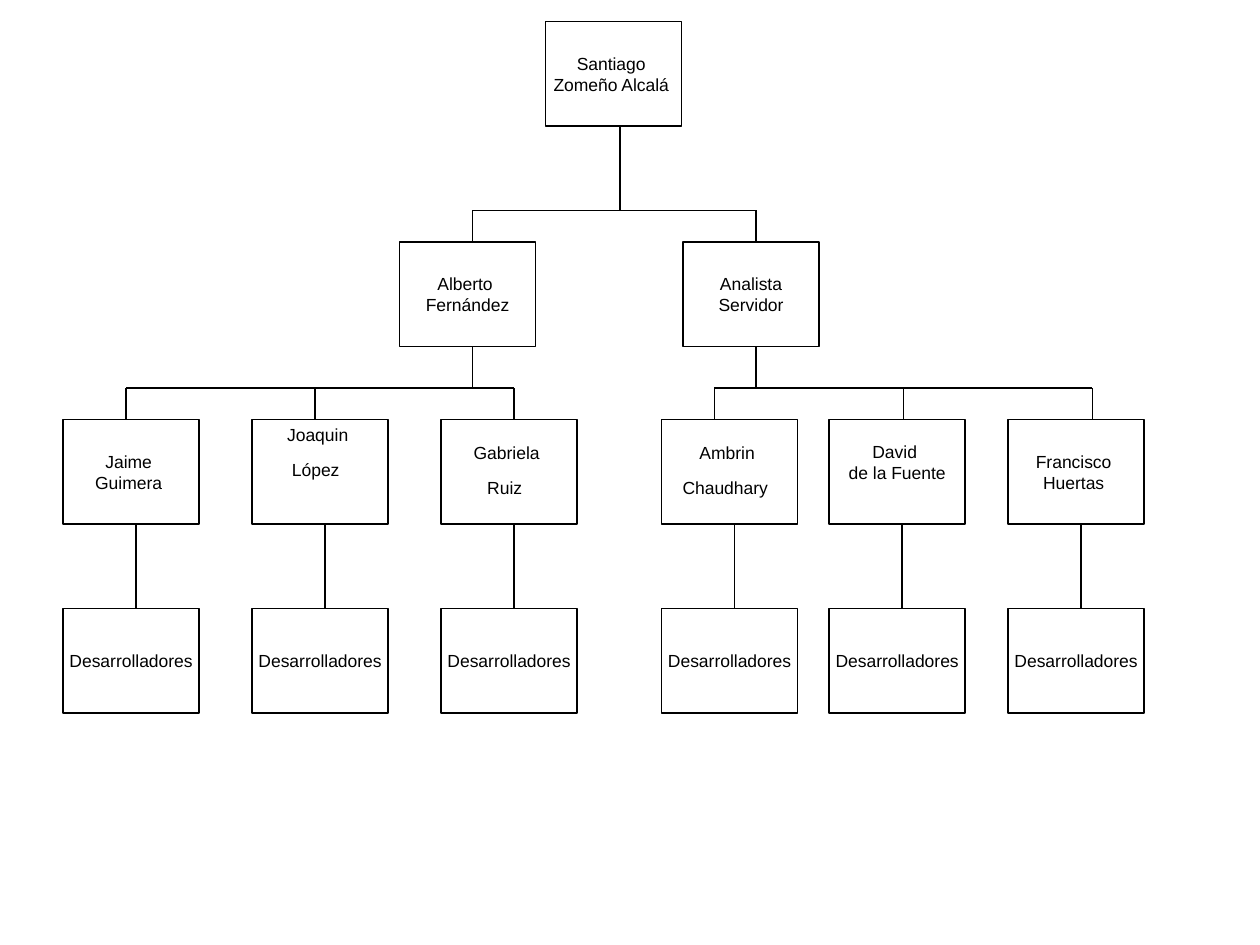
from pptx import Presentation
from pptx.dml.color import RGBColor
from pptx.enum.shapes import MSO_CONNECTOR, MSO_SHAPE
from pptx.enum.text import MSO_ANCHOR, PP_ALIGN
from pptx.oxml.ns import qn
from pptx.util import Inches, Pt
from lxml.etree import SubElement


def color(code):
    return RGBColor.from_string(code)


class Chart:
    font = "Arial"
    size = 10
    ink = "000000"
    wide = 1.08
    high = 0.83
    mid = 0.58

    def __init__(self, slide):
        self.slide = slide

    def line(self, x1, y1, x2, y2):
        link = self.slide.shapes.add_connector(
            MSO_CONNECTOR.STRAIGHT, Inches(x1), Inches(y1), Inches(x2), Inches(y2))
        link.line.color.rgb = color(self.ink)
        link.line.width = Pt(0.75)
        SubElement(link._element.spPr, qn("a:effectLst"))

    def fork(self, y, ends, drop):
        self.line(ends[0], y, ends[-1], y)
        for x in ends:
            self.line(x, y, x, drop)

    def style(self, run, size):
        run.font.name = self.font
        run.font.size = Pt(size)
        run.font.color.rgb = color(self.ink)

    def box(self, x, y, text, tail=False, base=0.05):
        box = self.slide.shapes.add_shape(
            MSO_SHAPE.RECTANGLE, Inches(x), Inches(y), Inches(self.wide), Inches(self.high))
        box.shadow.inherit = False
        box.fill.background()
        box.line.color.rgb = color(self.ink)
        box.line.width = Pt(0.75)
        frame = box.text_frame
        frame.word_wrap = False
        frame.vertical_anchor = MSO_ANCHOR.MIDDLE
        frame.margin_bottom = Inches(base)
        para = frame.paragraphs[0]
        para.text = text
        para.alignment = PP_ALIGN.CENTER
        for run in para.runs:
            self.style(run, self.size)
        for gap in para._p.findall(qn("a:br")):
            SubElement(gap, qn("a:rPr"), sz=str(self.size * 100))
        if tail:
            run = para.add_run()
            run.text = " "
            self.style(run, 18)


def main():
    deck = Presentation()
    deck.slide_width = Inches(10)
    deck.slide_height = Inches(7.5)
    chart = Chart(deck.slides.add_slide(deck.slide_layouts[6]))

    chart.box(4.33, 0.17, "Santiago \vZomeño Alcalá ")
    chart.line(4.92, 1, 4.92, 1.67)
    chart.fork(1.67, [3.75, 6], 1.92)

    leads = [
        (3.17, "Alberto \vFernández", [1, 2.5, 4.08]),
        (5.42, "Analista\vServidor", [5.67, 7.17, 8.67]),
    ]
    for x, name, ends in leads:
        chart.box(x, 1.92, name)
        chart.line(x + chart.mid, 2.75, x + chart.mid, 3.08)
        chart.fork(3.08, ends, 3.33)

    teams = [
        (0.5, "Jaime \vGuimera ", False, 0.05),
        (2, "Joaquin \vLópez", True, 0.34),
        (3.5, "Gabriela \vRuiz", True, 0.05),
        (5.25, "Ambrin \vChaudhary", True, 0.05),
        (6.58, "David \vde la Fuente", False, 0.21),
        (8, "Francisco \vHuertas ", False, 0.05),
    ]
    for x, name, tail, base in teams:
        chart.box(x, 3.33, name, tail, base)
        for end in (4.5, 4.83):
            chart.line(x + chart.mid, 4.17, x + chart.mid, end)
        chart.box(x, 4.83, "Desarrolladores")

    deck.save("out.pptx")


if __name__ == "__main__":
    main()
